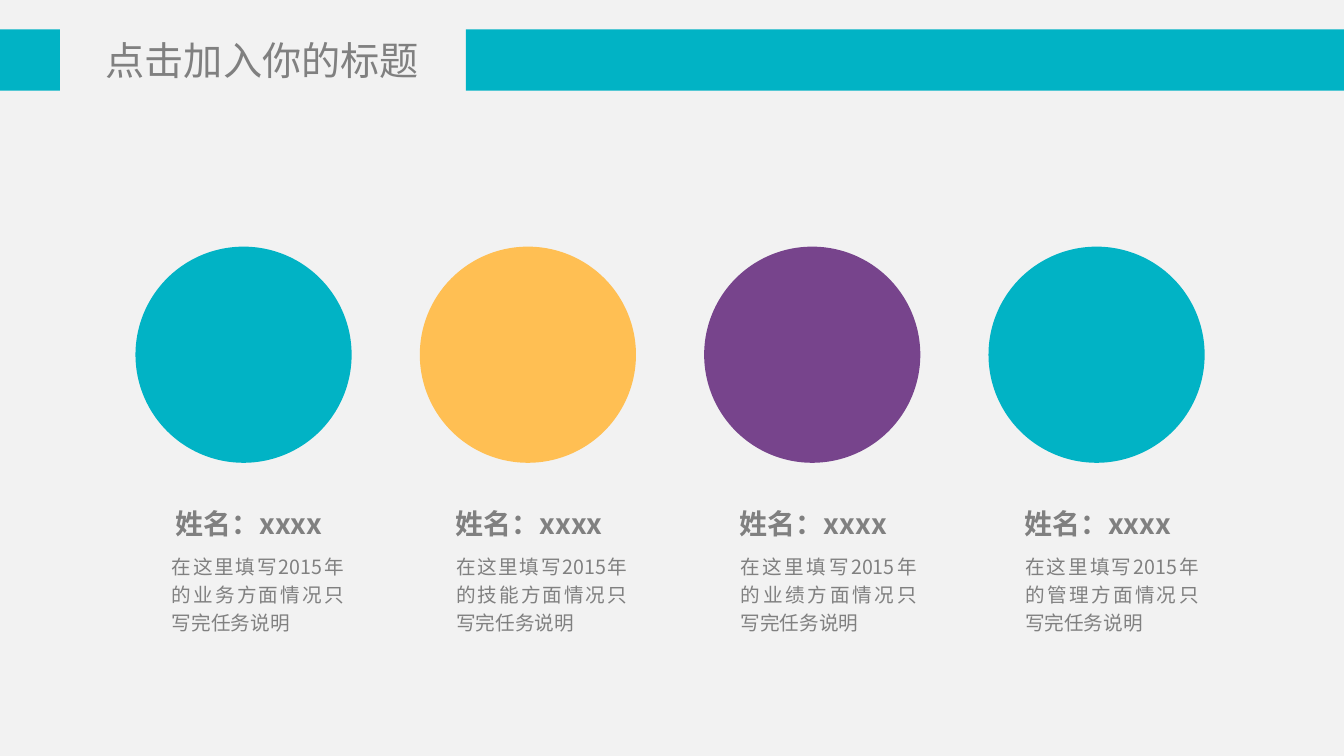
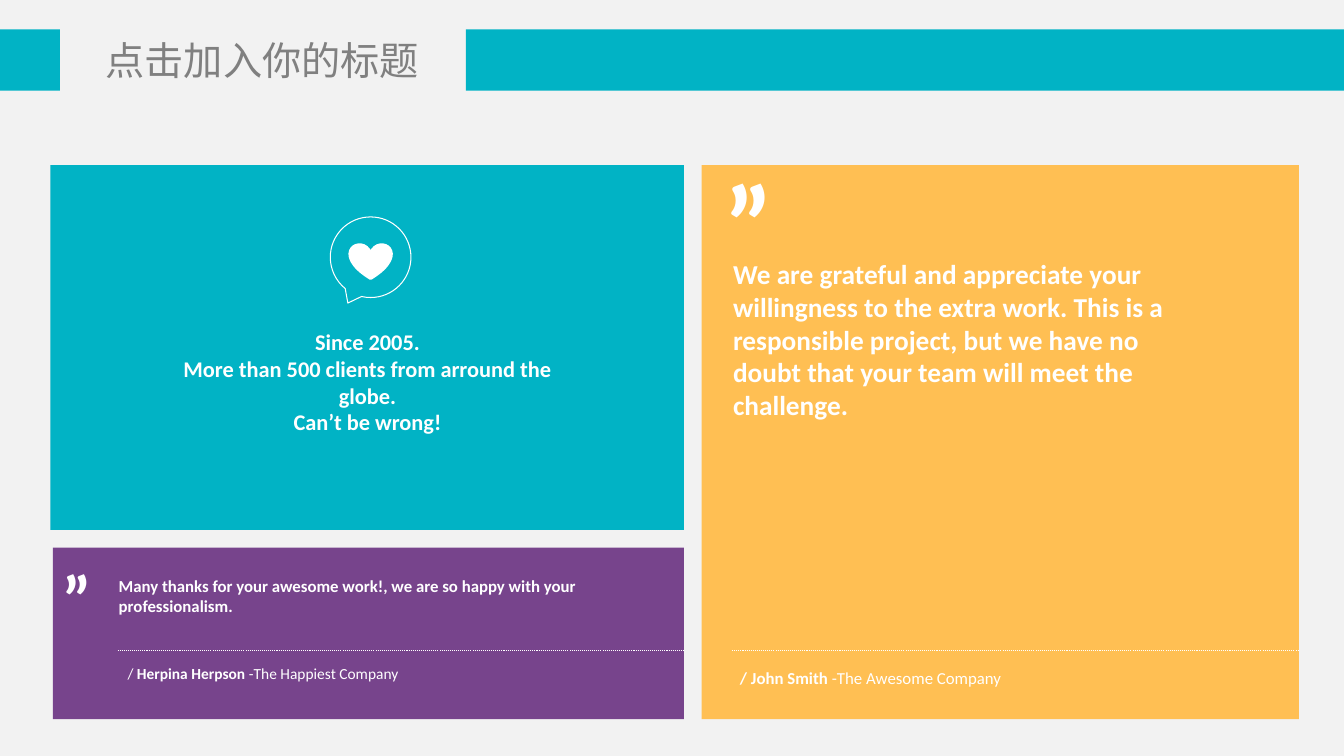
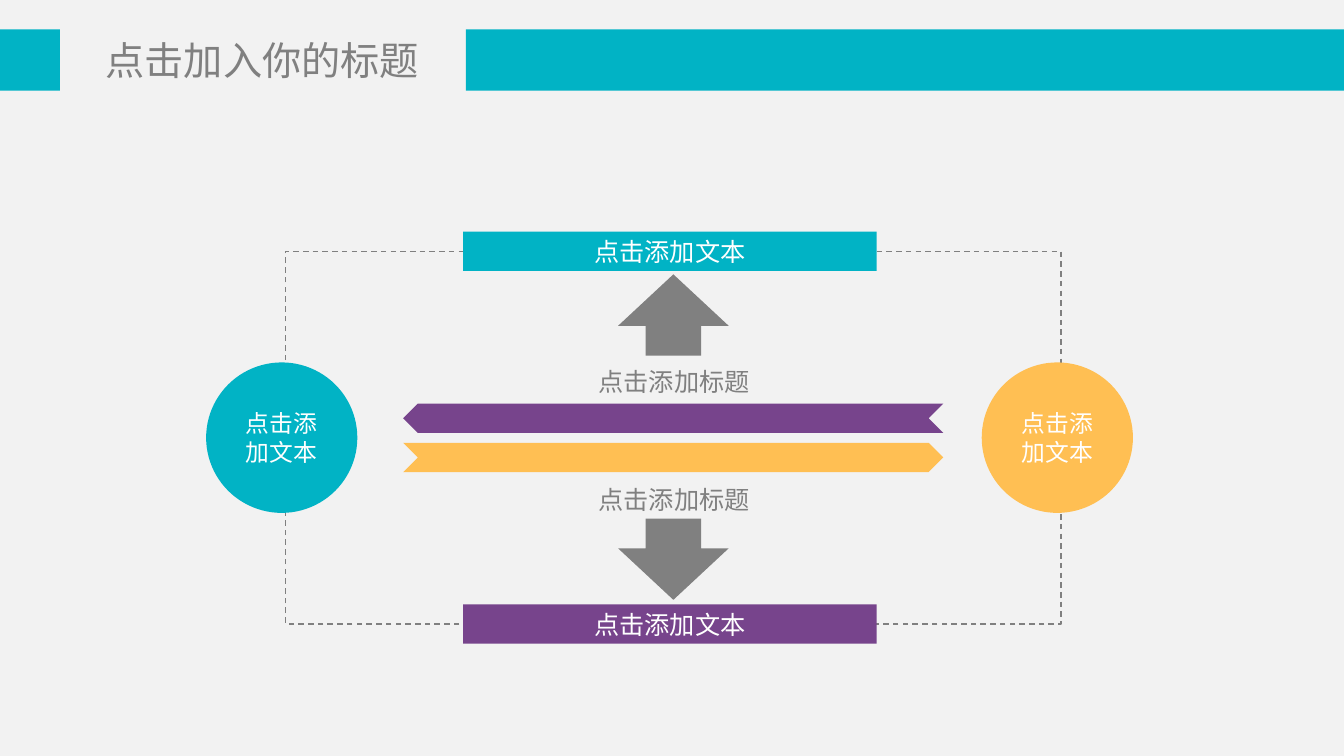
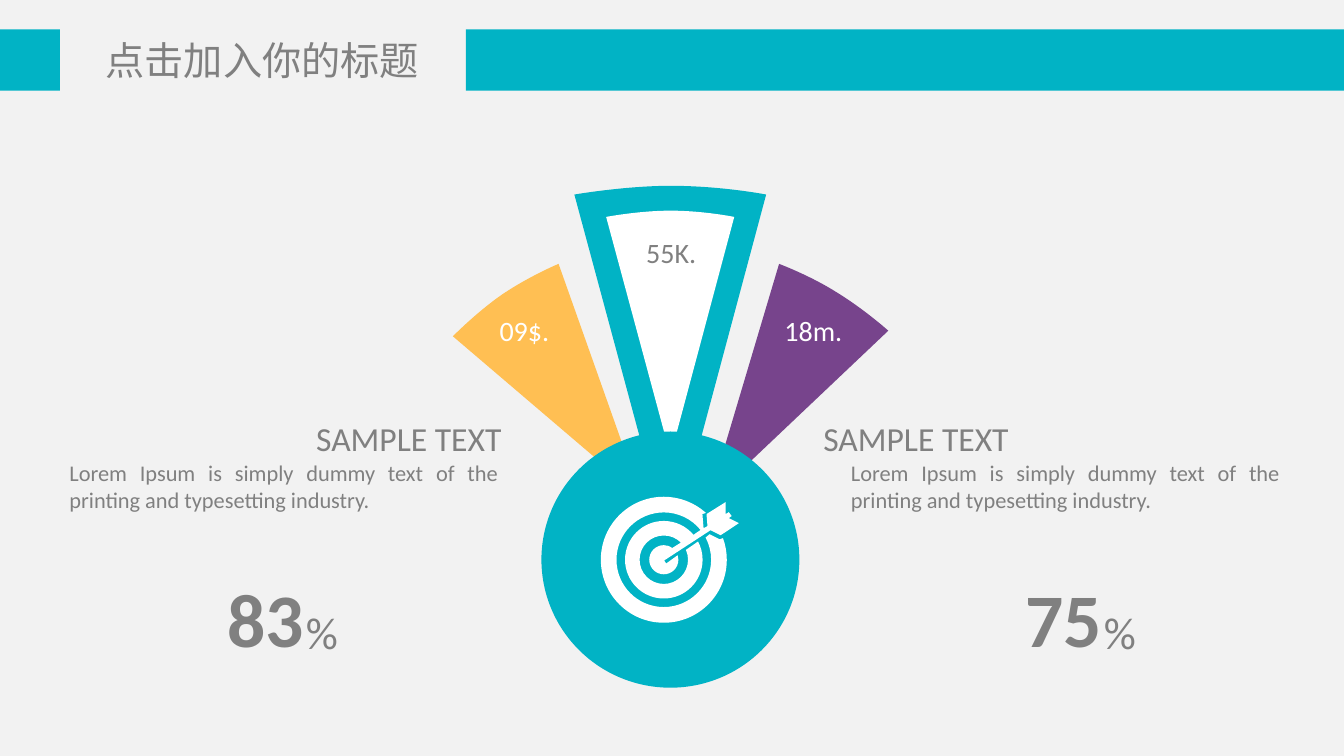
from dataclasses import dataclass, replace
from itertools import pairwise
from math import copysign, cos, radians, sin, tan

from lxml.etree import SubElement
from pptx import Presentation
from pptx.dml.color import RGBColor
from pptx.enum.dml import MSO_LINE_DASH_STYLE as Dash
from pptx.enum.shapes import MSO_CONNECTOR as Connector, MSO_SHAPE as Shape
from pptx.enum.text import MSO_ANCHOR as Anchor, MSO_AUTO_SIZE as AutoSize, PP_ALIGN as Align
from pptx.oxml.ns import qn
from pptx.util import Pt

# Theme
TEAL, AMBER, PURPLE = "01B3C5", "FFBF53", "77448C"
GREY, WHITE, PAPER = "808080", "FFFFFF", "F2F2F2"
HAN, LATIN = "Noto Sans CJK SC", "Calibri"

Point = tuple[float, float]
Box = tuple[float, float, float, float]
Step = tuple[Point, ...]  # one point for a line, three for a cubic curve


@dataclass(frozen=True)
class TextStyle:
    size: float
    color: str = GREY
    font: str = LATIN
    bold: bool = False
    align: Align = Align.LEFT
    anchor: Anchor = Anchor.TOP
    spacing: float | None = None
    insets: Point = (7.2, 3.6)
    wrap: bool = True


TITLE = TextStyle(28, font=HAN, align=Align.CENTER, insets=(0, 0))
MEMBER_NAME = TextStyle(20, font=HAN, bold=True)
MEMBER_TASK = TextStyle(14, font=HAN, align=Align.JUSTIFY, anchor=Anchor.MIDDLE, spacing=1.2)
CLAIM = TextStyle(16, WHITE, bold=True, align=Align.CENTER)
ARROW_LABEL = TextStyle(18, font=HAN, insets=(6, 3), wrap=False)
BAR_LABEL = TextStyle(18, WHITE, HAN, align=Align.CENTER, anchor=Anchor.MIDDLE, insets=(6, 3))
NODE_LABEL = replace(BAR_LABEL, size=17)


# Drawing helpers
def rgb(color: str) -> RGBColor:
    return RGBColor.from_string(color)


def paint(shape, fill: str | None, line: str | None = None, width: float = 1):
    shape.shadow.inherit = False
    if fill:
        shape.fill.solid()
        shape.fill.fore_color.rgb = rgb(fill)
    else:
        shape.fill.background()
    if line:
        shape.line.color.rgb = rgb(line)
        shape.line.width = Pt(width)
    else:
        shape.line.fill.background()
    return shape


def add_shape(slide, kind: Shape, box: Box, fill: str | None, line: str | None = None, width: float = 1):
    return paint(slide.shapes.add_shape(kind, *map(Pt, box)), fill, line, width)


def lines(*points: Point) -> list[Step]:
    return [(point,) for point in points]


def add_outline(slide, steps: list[Step], fill: str | None, line: str | None = None, width: float = 1):
    """Closed freeform; each three-point step becomes one cubic curve."""
    start, *rest = [(Pt(x), Pt(y)) for step in steps for x, y in step]
    builder = slide.shapes.build_freeform(*start)
    builder.add_line_segments(rest, close=True)
    shape = builder.convert_to_shape()
    segments = iter(list(shape._element.iter(qn("a:lnTo"))))
    for step in steps[1:]:
        segment = next(segments)
        if len(step) == 3:
            segment.tag = qn("a:cubicBezTo")
            for _ in range(2):
                extra = next(segments)
                segment.append(extra[0])
                extra.getparent().remove(extra)
    return paint(shape, fill, line, width)


def arc(center: Point, radius: float, start: int, end: int) -> list[Step]:
    """Circle arc in curves split at the quarters; degrees, clockwise from the right."""
    quarters = [a for a in range(-360, 721, 90) if min(start, end) < a < max(start, end)]
    stops = [start, *sorted(quarters, reverse=start > end), end]

    def place(angle: float, pull: float = 0) -> Point:
        c, s = cos(radians(angle)), sin(radians(angle))
        return center[0] + radius * (c - pull * s), center[1] + radius * (s + pull * c)

    steps: list[Step] = [(place(start),)]
    for a, b in pairwise(stops):
        pull = 4 / 3 * tan(radians(b - a) / 4)
        steps.append((place(a, pull), place(b, -pull), place(b)))
    return steps


def style_run(run, style: TextStyle) -> None:
    run.font.size = Pt(style.size)
    run.font.bold = style.bold
    run.font.name = style.font
    run.font.color.rgb = rgb(style.color)
    SubElement(run.font._element, qn("a:ea")).set("typeface", style.font)


def write(shape, text: str, style: TextStyle) -> None:
    frame = shape.text_frame
    frame.text = text
    frame.word_wrap = style.wrap
    frame.vertical_anchor = style.anchor
    frame.margin_left = frame.margin_right = Pt(style.insets[0])
    frame.margin_top = frame.margin_bottom = Pt(style.insets[1])
    for paragraph in frame.paragraphs:
        paragraph.alignment = style.align
        if style.spacing:
            paragraph.line_spacing = style.spacing
        for run in paragraph.runs:
            style_run(run, style)


def add_text(slide, box: Box, text: str, style: TextStyle):
    text_box = slide.shapes.add_textbox(*map(Pt, box))
    write(text_box, text, style)
    text_box.text_frame.auto_size = AutoSize.SHAPE_TO_FIT_TEXT
    return text_box


def add_dotted_rule(slide, left: float, right: float, y: float) -> None:
    rule = slide.shapes.add_connector(Connector.STRAIGHT, Pt(left), Pt(y), Pt(right), Pt(y))
    rule.line.color.rgb = rgb(WHITE)
    rule.line.width = Pt(0.75)
    rule.line.dash_style = Dash.ROUND_DOT
    SubElement(rule._element.spPr, qn("a:effectLst"))


def add_band(slide) -> None:
    """One outline in two parts, with a gap for the title."""
    top, bottom = Pt(21), Pt(64.75)
    builder = slide.shapes.build_freeform(Pt(332.75), top)
    for left, right in ((Pt(332.75), Pt(960)), (Pt(0), Pt(42.75))):
        builder.move_to(left, top)
        builder.add_line_segments([(right, top), (right, bottom), (left, bottom)], close=True)
    paint(builder.convert_to_shape(), TEAL)


def new_slide(prs):
    slide = prs.slides.add_slide(prs.slide_layouts[6])
    add_band(slide)
    add_text(slide, (52, 26, 270.75, 34), "点击加入你的标题", TITLE)
    return slide


# Slide 1: team
@dataclass(frozen=True)
class Member:
    field: str
    color: str
    task_width: float
    name_inset: float = 17.3


MEMBERS = (
    Member("业务", TEAL, 136.8, 20.3),
    Member("技能", AMBER, 136.2),
    Member("业绩", PURPLE, 140),
    Member("管理", TEAL, 138.2),
)


def build_team(prs) -> None:
    slide = new_slide(prs)
    for i, member in enumerate(MEMBERS):
        left = 97.8 + 203.1 * i
        add_shape(slide, Shape.OVAL, (left, 177.2, 152.4, 152.4), member.color, member.color, 2)
        add_text(slide, (left + member.name_inset, 358.5, 142.5, 31.5), "姓名：xxxx", MEMBER_NAME)
        add_text(slide, (left + 18, 389, member.task_width, 68.5),
                 f"在这里填写2015年的{member.field}方面情况只写完任务说明", MEMBER_TASK)


# Slide 2: client quotes
@dataclass(frozen=True)
class Quote:
    panel: Box
    color: str
    mark_box: Box
    mark_size: float
    words_box: Box
    words_size: float
    words: str
    rule_left: float
    credit_box: Box
    credit_size: float
    credit: tuple[tuple[str, bool], ...]


QUOTES = (
    Quote((501.25, 118, 426.5, 395.75), AMBER, (510.5, 106, 90, 104.5), 80,
          (516.5, 180.25, 353, 125), 19.5,
          "We are grateful and appreciate your willingness to the extra work. This is a "
          "responsible project, but we have no doubt that your team will meet the challenge.",
          523, (521.5, 473.5, 372, 21.5), 12,
          (("/ John Smith ", True), ("-The Awesome Company", False))),
    Quote((37.75, 391.25, 450.75, 122.5), PURPLE, (37.5, 394, 90, 65.5), 48,
          (77.75, 407.75, 391, 36), 12,
          "Many thanks for your awesome work!, we are so happy with your professionalism.",
          84, (84, 471, 372, 21), 11,
          (("/ ", False), ("Herpina Herpson ", True), ("-The Happiest Company", False))),
)


def add_quote(slide, quote: Quote) -> None:
    add_shape(slide, Shape.RECTANGLE, quote.panel, quote.color)
    words = TextStyle(quote.words_size, WHITE, bold=True)
    add_text(slide, quote.mark_box, "”", replace(words, size=quote.mark_size))
    add_text(slide, quote.words_box, quote.words, words)
    add_dotted_rule(slide, quote.rule_left, quote.panel[0] + quote.panel[2], 464.75)

    (lead, lead_bold), *others = quote.credit
    style = TextStyle(quote.credit_size, WHITE, bold=lead_bold)
    credit = add_text(slide, quote.credit_box, lead, style)
    for text, bold in others:
        run = credit.text_frame.paragraphs[0].add_run()
        run.text = text
        style_run(run, replace(style, bold=bold))


def build_quotes(prs) -> None:
    slide = new_slide(prs)
    for quote in QUOTES:
        add_quote(slide, quote)
    # Claim with a heart in a speech bubble
    add_shape(slide, Shape.RECTANGLE, (36, 118, 452.5, 260.5), TEAL)
    add_shape(slide, Shape.HEART, (250, 174.5, 29.5, 24.5), WHITE, WHITE, 2)
    bubble = arc((264.75, 183.75), 28.8, 129, 463) + lines((248.5, 216.5))
    add_outline(slide, bubble, None, WHITE, 0.75)
    add_text(slide, (103, 230.75, 319, 65.5),
             "Since 2005.\nMore than 500 clients from arround the globe.\nCan’t be wrong!", CLAIM)


# Slide 3: cycle
def add_ribbon(slide, tail: float, tip: float, top: float, color: str) -> None:
    height = 21
    middle, bottom = top + height / 2, top + height
    notch = copysign(height / 2, tip - tail)
    add_outline(slide, lines((tail, top), (tip - notch, top), (tip, middle),
                             (tip - notch, bottom), (tail, bottom), (tail + notch, middle)), color)


def build_cycle(prs) -> None:
    slide = new_slide(prs)
    frame = add_shape(slide, Shape.RECTANGLE, (204, 179.5, 553.9, 266.2), None, GREY, 1)
    frame.line.dash_style = Dash.DASH

    for left, color in ((147.25, TEAL), (701.25, AMBER)):
        node = add_shape(slide, Shape.OVAL, (left, 258.9, 108, 107.5), color)
        write(node, "点击添加文本", NODE_LABEL)
    for top, color in ((165.5, TEAL), (431.75, PURPLE)):
        bar = add_shape(slide, Shape.RECTANGLE, (330.75, top, 295.5, 28), color)
        write(bar, "点击添加文本", BAR_LABEL)
    for kind, arrow_top, label_top in ((Shape.UP_ARROW, 196, 258.5), (Shape.DOWN_ARROW, 370.5, 343)):
        arrow = add_shape(slide, kind, (441.5, arrow_top, 79, 58), GREY)
        arrow.adjustments[0], arrow.adjustments[1] = 0.5, 0.634
        add_text(slide, (421.5, label_top, 121, 28), "点击添加标题", ARROW_LABEL)

    add_ribbon(slide, 288, 673.8, 316.25, AMBER)
    add_ribbon(slide, 673.8, 288, 288.25, PURPLE)


# Slide 4: target
@dataclass(frozen=True)
class Wedge:
    apex: Point
    left: Point
    left_bend: Point
    crest: Point
    right_bend: Point
    right: Point
    color: str


@dataclass(frozen=True)
class Stat:
    heading_left: float
    body_left: float
    number_left: float
    number: str


WEDGES = (
    Wedge((458, 355), (323.5, 240.25), (340.5, 223), (358.5, 210.5), (378.5, 197), (399, 188.5), AMBER),
    Wedge((506, 358), (556.5, 188.5), (579, 197), (597.5, 208.75), (617.5, 221), (634.5, 236.25), PURPLE),
    Wedge((479, 394), (410.25, 139), (446.5, 132.75), (479, 132.75), (515.5, 132.75), (547.25, 139), TEAL),
    Wedge((479, 325.5), (433, 155), (456.5, 150.5), (479, 150.5), (502.5, 150.5), (524.5, 155), WHITE),
)
WEDGE_LABELS = (
    ((454.5, 165), "55K.", GREY),
    ((553.25, 220.5), "18m.", WHITE),
    ((349.75, 220.5), "09$.", WHITE),
)
STATS = (Stat(581, 600.75, 725.5, "75"), Stat(218.75, 42.5, 155.5, "83"))


def add_wedge(slide, wedge: Wedge) -> None:
    edge = [(wedge.left, wedge.left_bend, wedge.crest), (wedge.right_bend, wedge.right, wedge.right)]
    add_outline(slide, lines(wedge.apex, wedge.left) + edge, wedge.color)


def add_target(slide) -> None:
    """Rings cut open by an arrow, as one continuous outline."""
    center = (474.2, 399.8)
    rings = ((33.8, -28, 321), (27.7, 320, -28), (17.3, -24, 315), (10.4, 306, -18))
    inner = [step for ring in rings for step in arc(center, *ring)]
    arrow = lines((475.9, 402.5), (474.5, 400.3), (507.6, 378.7), (514.8, 382.3), (527.8, 373.7),
                  (520.6, 370.1), (522.7, 368.6), (520.6, 365.8), (518.4, 367.2), (518.4, 358.6),
                  (504.7, 367.2), (505.4, 375.8), (502.6, 377.3), (501.8, 367.2))
    rim = arc(center, 45, 312, -20)
    add_outline(slide, inner + arrow + rim + lines((514.1, 385.2), (506.9, 381.6)), WHITE)


def build_target(prs) -> None:
    slide = new_slide(prs)
    for wedge in WEDGES:
        add_wedge(slide, wedge)
    add_shape(slide, Shape.OVAL, (386.75, 308.25, 184.25, 183), TEAL)
    add_target(slide)
    for (left, top), text, color in WEDGE_LABELS:
        add_text(slide, (left, top, 63.5, 31.5), text, TextStyle(20, color))
    for stat in STATS:
        add_text(slide, (stat.heading_left, 295, 180, 36), "SAMPLE TEXT", TextStyle(24))
        add_text(slide, (stat.body_left, 324.5, 320.5, 46),
                 "Lorem Ipsum is simply dummy text of the printing and typesetting industry. ",
                 TextStyle(16, align=Align.JUSTIFY))
        add_text(slide, (stat.number_left, 405.25, 93.5, 72.5), stat.number, TextStyle(54, bold=True))
        add_text(slide, (stat.number_left + 56, 428.25, 61, 46), "%", TextStyle(32))


def main() -> None:
    prs = Presentation()
    prs.slide_width, prs.slide_height = Pt(960), Pt(540)
    background = prs.slide_master.background.fill
    background.solid()
    background.fore_color.rgb = rgb(PAPER)
    for build in (build_team, build_quotes, build_cycle, build_target):
        build(prs)
    prs.save("out.pptx")


if __name__ == "__main__":
    main()
